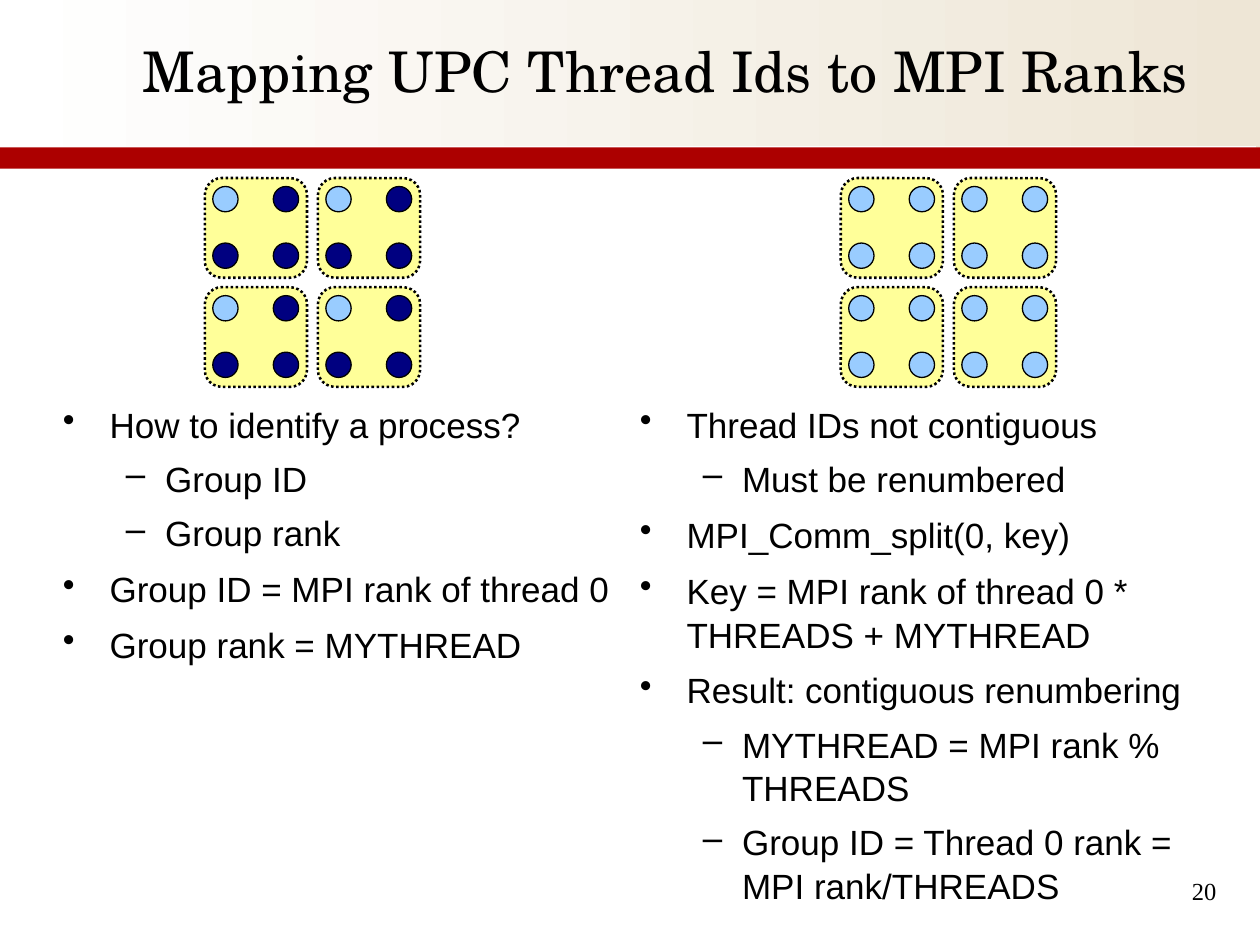
"""Builds the slide on mapping UPC thread ids to MPI ranks."""
import dataclasses

import lxml.etree
import pptx
import pptx.dml.color
import pptx.enum.dml
import pptx.enum.shapes
import pptx.enum.text
import pptx.oxml.ns
import pptx.util

Cm = pptx.util.Cm
Pt = pptx.util.Pt
RGB = pptx.dml.color.RGBColor.from_string
SHAPE = pptx.enum.shapes.MSO_SHAPE
ALIGN = pptx.enum.text.PP_ALIGN
qn = pptx.oxml.ns.qn


@dataclasses.dataclass(frozen=True)
class Theme:
    black = RGB("000000")
    white = RGB("FFFFFF")
    cream = RGB("EEE6D6")
    red = RGB("AC0000")
    node = RGB("FFFF99")
    member = RGB("99CCFF")
    other = RGB("000080")
    title_size = Pt(32)
    body_size = Pt(20)
    number_size = Pt(14)


theme = Theme()


def add_text_box(left, top, width, height):
    box = page.shapes.add_textbox(Cm(left), Cm(top), Cm(width), Cm(height))
    frame = box.text_frame
    frame.word_wrap = True
    frame.margin_left = frame.margin_right = frame.margin_top = frame.margin_bottom = 0
    return frame


def style_paragraph(paragraph, text, font_name, size, spacing, alignment):
    paragraph.text = text
    paragraph.alignment = alignment
    paragraph.line_spacing = spacing
    paragraph.font.name = font_name
    paragraph.font.size = size
    paragraph.font.color.rgb = theme.black


deck = pptx.Presentation()
deck.slide_width = Cm(25.4)
deck.slide_height = Cm(19.05)
page = deck.slides.add_slide(deck.slide_layouts[6])
page.background.fill.solid()
page.background.fill.fore_color.rgb = theme.white

header = page.shapes.add_shape(SHAPE.RECTANGLE, 0, 0, Cm(25.4), Cm(3.02))
header.shadow.inherit = False
header.line.fill.background()
header.fill.gradient()
header.fill.gradient_angle = 180
for stop, color, position in zip(header.fill.gradient_stops, (theme.cream, theme.white), (0, 1)):
    stop.color.rgb = color
    stop.position = position

rule = page.shapes.add_connector(
    pptx.enum.shapes.MSO_CONNECTOR.STRAIGHT, 0, Cm(2.97), Cm(25.32), Cm(2.97))
rule.line.color.rgb = theme.white
rule.line.width = Pt(1.5)
lxml.etree.SubElement(rule._element.spPr, qn("a:effectLst"))

band = page.shapes.add_shape(SHAPE.RECTANGLE, 0, Cm(2.97), Cm(25.4), Cm(0.43))
band.shadow.inherit = False
band.fill.solid()
band.fill.fore_color.rgb = theme.red
band.line.fill.background()

title = add_text_box(2.74, 0.64, 21.36, 1.68)
title.vertical_anchor = pptx.enum.text.MSO_ANCHOR.MIDDLE
style_paragraph(title.paragraphs[0], "Mapping UPC Thread Ids to MPI Ranks",
                "TeX Gyre Schola", theme.title_size, 0.95, ALIGN.CENTER)

columns = [
    (1.27, [
        (0, "How to identify a process?"),
        (1, "Group ID"),
        (1, "Group rank"),
        (0, "Group ID = MPI rank of thread 0"),
        (0, "Group rank = MYTHREAD"),
    ]),
    (12.9, [
        (0, "Thread IDs not contiguous"),
        (1, "Must be renumbered"),
        (0, "MPI_Comm_split(0, key)"),
        (0, "Key = MPI rank of thread 0 * THREADS + MYTHREAD"),
        (0, "Result: contiguous renumbering"),
        (1, "MYTHREAD = MPI rank % THREADS"),
        (1, "Group ID = Thread 0 rank = MPI rank/THREADS"),
    ]),
]
levels = [("•", 0.94, 0.94, Pt(7)), ("–", 2.06, 0.79, Pt(6))]
for left, items in columns:
    frame = add_text_box(left, 8.1, 11.22, 10.57)
    for index, (level, text) in enumerate(items):
        paragraph = frame.add_paragraph() if index else frame.paragraphs[0]
        bullet, indent, hanging, space_before = levels[level]
        properties = paragraph._p.get_or_add_pPr()
        properties.set("marL", str(Cm(indent)))
        properties.set("indent", str(-Cm(hanging)))
        lxml.etree.SubElement(properties, qn("a:buChar"), char=bullet)
        paragraph.level = level
        style_paragraph(paragraph, text, "Arial", theme.body_size, 1.04, ALIGN.LEFT)
        if index:
            paragraph.space_before = space_before

number = add_text_box(18.85, 17.58, 5.92, 1.07)
number.margin_left = number.margin_right = Cm(0.25)
number.margin_top = number.margin_bottom = Cm(0.13)
style_paragraph(number.paragraphs[0], "20", "Times New Roman",
                theme.number_size, 0.93, ALIGN.RIGHT)

quad = [(column, row) for row in range(2) for column in range(2)]
for grid_left, other_color in ((16.95, theme.member), (4.13, theme.other)):
    grid = page.shapes.add_group_shape()
    for node_column, node_row in quad:
        node_left = grid_left + 2.28 * node_column
        node_top = 3.59 + 2.2 * node_row
        node = grid.shapes.add_shape(
            SHAPE.ROUNDED_RECTANGLE, Cm(node_left), Cm(node_top), Cm(2.06), Cm(2.01))
        node.shadow.inherit = False
        node.adjustments[0] = 0.17
        node.fill.solid()
        node.fill.fore_color.rgb = theme.node
        node.line.color.rgb = theme.black
        node.line.width = Pt(1.45)
        node.line.dash_style = pptx.enum.dml.MSO_LINE.ROUND_DOT
        for column, row in quad:
            thread = grid.shapes.add_shape(
                SHAPE.OVAL, Cm(node_left + 0.16 + 1.22 * column),
                Cm(node_top + 0.17 + 1.14 * row), Cm(0.51), Cm(0.51))
            thread.shadow.inherit = False
            thread.fill.solid()
            thread.fill.fore_color.rgb = other_color if column or row else theme.member
            thread.line.color.rgb = theme.black
            thread.line.width = Pt(0.75)

deck.save("out.pptx")
